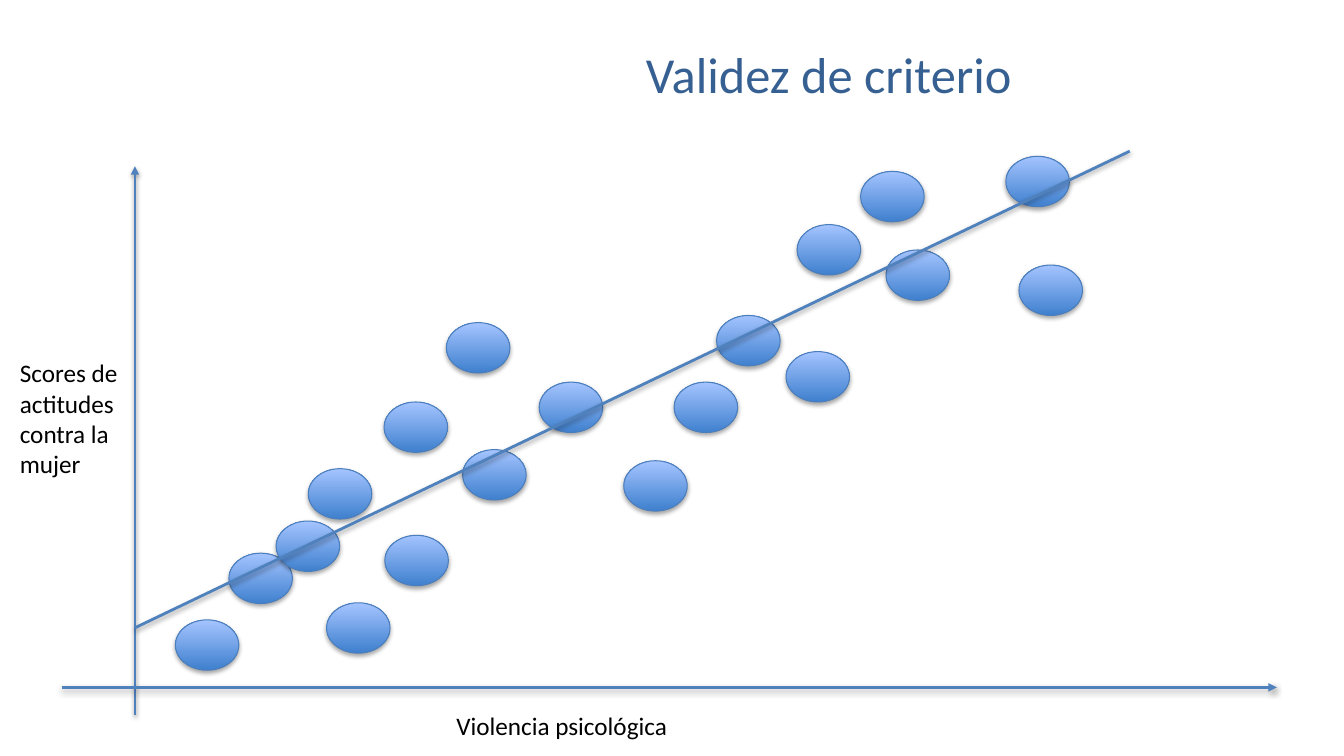
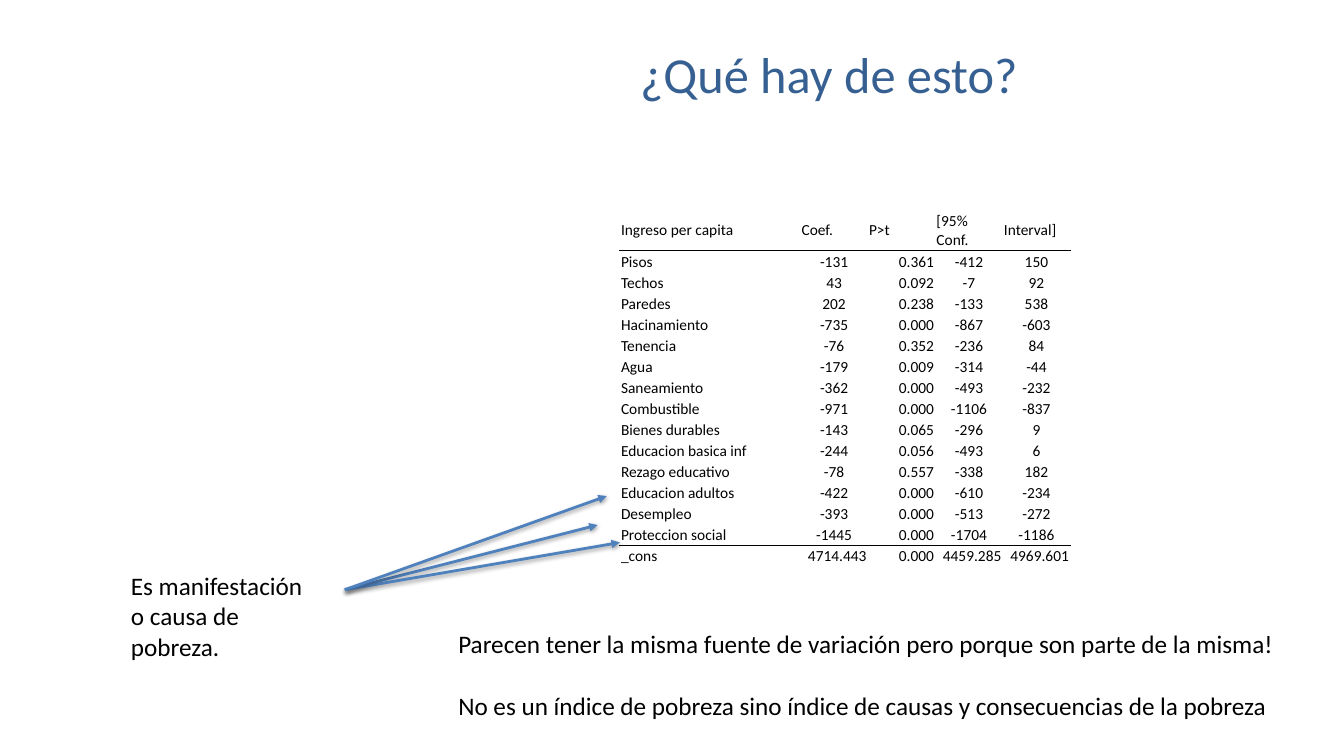
from dataclasses import dataclass

from lxml import etree
from pptx import Presentation
from pptx.dml.color import RGBColor
from pptx.enum.shapes import MSO_CONNECTOR, MSO_SHAPE
from pptx.enum.text import MSO_ANCHOR, MSO_AUTO_SIZE, PP_ALIGN
from pptx.oxml.ns import qn
from pptx.util import Cm, Pt

STRAIGHT = MSO_CONNECTOR.STRAIGHT
OVAL = MSO_SHAPE.OVAL
TOP, MIDDLE = MSO_ANCHOR.TOP, MSO_ANCHOR.MIDDLE
LEFT, CENTER, RIGHT = PP_ALIGN.LEFT, PP_ALIGN.CENTER, PP_ALIGN.RIGHT
FIT = MSO_AUTO_SIZE.SHAPE_TO_FIT_TEXT


@dataclass(frozen=True)
class Theme:
    font: str = "Calibri"
    head: str = "376092"
    ink: str = "000000"
    line: str = "4F81BD"
    edge: str = "4B7EBC"
    dark: str = "3F80CE"
    light: str = "A4C4FF"
    big: int = 36
    body: int = 18
    small: int = 11


def color(code):
    return RGBColor.from_string(code)


def child(parent, tag, **attrs):
    return etree.SubElement(parent, qn(tag), attrs)


class Deck:
    def __init__(self, theme):
        self.theme = theme
        self.prs = Presentation()
        self.prs.slide_width, self.prs.slide_height = Cm(33.87), Cm(19.05)
        self.slide = None

    def page(self, title):
        self.slide = self.prs.slides.add_slide(self.prs.slide_layouts[6])
        frame = self.text(9.6, 0.76, 22.58, 2.18, [title], self.theme.big,
                          self.theme.head, CENTER)
        frame.auto_size = MSO_AUTO_SIZE.NONE
        frame.vertical_anchor = MIDDLE

    def style(self, par, size, code, align):
        par.alignment = align
        par.font.name = self.theme.font
        par.font.size = Pt(size)
        par.font.color.rgb = color(code)

    def text(self, x, y, w, h, lines, size=None, code=None, align=LEFT, gap=0):
        frame = self.slide.shapes.add_textbox(Cm(x), Cm(y), Cm(w), Cm(h)).text_frame
        frame.word_wrap = True
        frame.auto_size = FIT
        frame.vertical_anchor = TOP
        for i, line in enumerate(lines):
            par = frame.add_paragraph() if i else frame.paragraphs[0]
            par.text = line
            par.space_before = Pt(gap if i else 0)
            self.style(par, size or self.theme.body, code or self.theme.ink, align)
        return frame

    def shade(self, shape, dist, alpha):
        effects = child(shape._element.spPr, "a:effectLst")
        cast = child(effects, "a:outerShdw", blurRad="40000", dist=str(dist),
                     dir="5400000", rotWithShape="0")
        tint = child(cast, "a:srgbClr", val=self.theme.ink)
        child(tint, "a:alpha", val=str(alpha * 1000))

    def line(self, start, end, arrow=True):
        link = self.slide.shapes.add_connector(STRAIGHT, *map(Cm, start + end))
        link.line.color.rgb = color(self.theme.line)
        link.line.width = Pt(2)
        if arrow:
            child(link.line._get_or_add_ln(), "a:tailEnd", type="triangle")
        self.shade(link, 20000, 38)

    def dot(self, x, y):
        oval = self.slide.shapes.add_shape(OVAL, Cm(x), Cm(y), Cm(1.6), Cm(1.27))
        oval.fill.gradient()
        oval.fill.gradient_angle = 90
        for stop, code in zip(oval.fill.gradient_stops,
                              (self.theme.dark, self.theme.light)):
            stop.color.rgb = color(code)
        oval.line.color.rgb = color(self.theme.edge)
        oval.line.width = Pt(0.75)
        self.shade(oval, 23000, 35)

    def rule(self, cell, tag):
        edge = etree.Element(qn(tag), w=str(Pt(0.5)))
        child(child(edge, "a:solidFill"), "a:srgbClr", val=self.theme.ink)
        cell._tc.get_or_add_tcPr().insert(0, edge)

    def table(self, x, y, widths, heights, rows, aligns, ruled):
        grid = self.slide.shapes.add_table(
            len(rows), len(widths), Cm(x), Cm(y),
            Cm(sum(widths)), Cm(sum(heights))).table
        grid.first_row = grid.horz_banding = False
        for col, width in zip(grid.columns, widths):
            col.width = Cm(width)
        for r, (row, height) in enumerate(zip(rows, heights)):
            grid.rows[r].height = Cm(height)
            for c, value in enumerate(row):
                cell = grid.cell(r, c)
                cell.fill.background()
                cell.vertical_anchor = MIDDLE
                cell.margin_left = cell.margin_right = cell.margin_top = Cm(0.03)
                cell.margin_bottom = 0
                par = cell.text_frame.paragraphs[0]
                par.text = value
                self.style(par, self.theme.small, self.theme.ink, aligns[r][c])
                if r in ruled:
                    self.rule(cell, "a:lnB")
                if r - 1 in ruled:
                    self.rule(cell, "a:lnT")


DOTS = [
    (5.77, 13.94), (7.77, 11.81), (6.96, 13.13), (18.06, 7.95), (11.66, 11.33),
    (19.81, 8.86), (8.23, 15.19), (22.33, 6.3), (15.72, 11.61), (13.59, 9.63),
    (25.35, 3.94), (16.99, 9.63), (9.7, 13.49), (20.09, 5.66), (21.69, 4.32),
    (11.25, 8.13), (25.68, 6.68), (4.42, 15.62), (9.68, 10.13),
]

ROWS = [
    ("Ingreso per capita", "Coef.", "P>t", "[95% Conf.", "Interval]"),
    ("Pisos", "-131", "0.361", "-412", "150"),
    ("Techos", "43", "0.092", "-7", "92"),
    ("Paredes", "202", "0.238", "-133", "538"),
    ("Hacinamiento", "-735", "0.000", "-867", "-603"),
    ("Tenencia", "-76", "0.352", "-236", "84"),
    ("Agua", "-179", "0.009", "-314", "-44"),
    ("Saneamiento", "-362", "0.000", "-493", "-232"),
    ("Combustible", "-971", "0.000", "-1106", "-837"),
    ("Bienes durables", "-143", "0.065", "-296", "9"),
    ("Educacion basica inf", "-244", "0.056", "-493", "6"),
    ("Rezago educativo", "-78", "0.557", "-338", "182"),
    ("Educacion adultos", "-422", "0.000", "-610", "-234"),
    ("Desempleo", "-393", "0.000", "-513", "-272"),
    ("Proteccion social", "-1445", "0.000", "-1704", "-1186"),
    ("_cons", "4714.443", "0.000", "4459.285", "4969.601"),
]


def scatter(deck):
    deck.page("Validez de criterio")
    deck.line((3.4, 18.01), (3.4, 4.19))
    deck.line((1.55, 17.32), (32.18, 17.32))
    deck.text(0.25, 8.89, 3.53, 3.33, ["Scores de actitudes contra la mujer"])
    deck.text(11.25, 17.78, 9.37, 1.03, ["Violencia psicológica"])
    for spot in DOTS:
        deck.dot(*spot)
    deck.line((3.4, 15.82), (28.47, 3.81), arrow=False)


def model(deck):
    deck.page("¿Qué hay de esto?")
    count = len(ROWS) - 2
    aligns = [[LEFT] * 5]
    aligns += [[LEFT, CENTER, RIGHT, CENTER, CENTER]] * count
    aligns += [[LEFT] + [RIGHT] * 4]
    deck.table(15.62, 5.26, [4.55] + [1.7] * 4, [1.06] + [0.53] * (count + 1),
               ROWS, aligns, (0, count))
    for tip in ((15.06, 13.23), (15.62, 13.67), (15.29, 12.5)):
        deck.line((8.69, 14.86), tip)
    deck.text(3.05, 14.25, 5.26, 2.56, ["Es manifestación o causa de pobreza."])
    deck.text(11.3, 15.72, 21.87, 2.56, [
        "Parecen tener la misma fuente de variación pero porque son parte de la misma!",
        "No es un índice de pobreza sino índice de causas y consecuencias de la pobreza",
    ], gap=22)


def main():
    deck = Deck(Theme())
    scatter(deck)
    model(deck)
    deck.prs.save("out.pptx")


if __name__ == "__main__":
    main()
